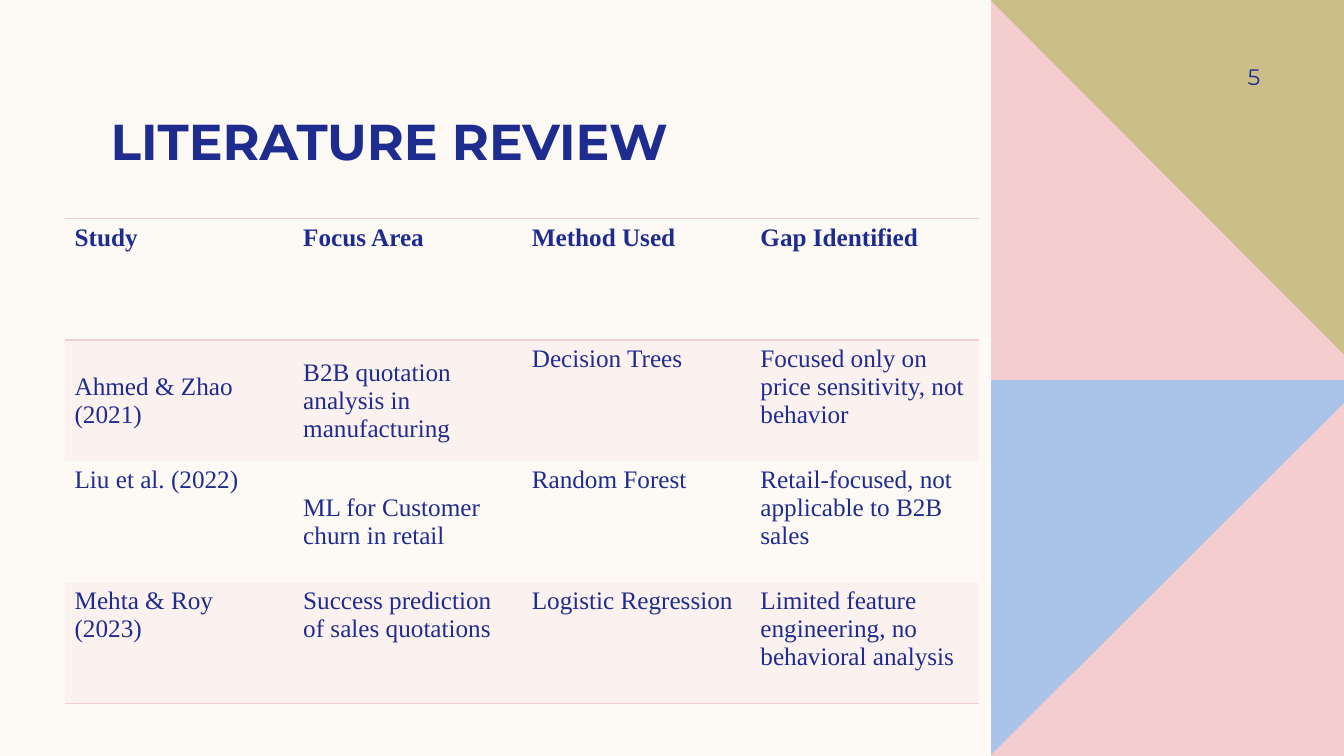
import pptx
import pptx.dml.color
import pptx.enum.text
import pptx.oxml
import pptx.oxml.ns
import pptx.util

Inches = pptx.util.Inches
Pt = pptx.util.Pt
RGBColor = pptx.dml.color.RGBColor
ANCHOR = pptx.enum.text.MSO_ANCHOR
ALIGN = pptx.enum.text.PP_ALIGN
qn = pptx.oxml.ns.qn

CREAM = RGBColor(0xFD, 0xFA, 0xF6)
NAVY = RGBColor(0x1F, 0x2C, 0x8F)
PINK = RGBColor(0xF5, 0xCD, 0xCE)
BLUE = RGBColor(0xAA, 0xC3, 0xE8)
OLIVE = RGBColor(0xCC, 0xBE, 0x89)
NO_STYLE = "{2D5ABB26-0587-4C30-8999-92F81FD0307C}"


def add_text(s, text, box, size, bold, anchor, align, insets):
    tf = s.shapes.add_textbox(*[Inches(v) for v in box]).text_frame
    tf.word_wrap = True
    tf.vertical_anchor = anchor
    tf.margin_left, tf.margin_top, tf.margin_right, tf.margin_bottom = [Inches(v) for v in insets]
    p = tf.paragraphs[0]
    p.text = text
    p.alignment = align
    p.font.name = "Montserrat"
    p.font.size = Pt(size)
    p.font.bold = bold
    p.font.color.rgb = NAVY


def add_border(cell, side):
    return pptx.oxml.parse_xml(
        f'<a:{side} {pptx.oxml.ns.nsdecls("a")} w="{Pt(1)}">'
        f'<a:solidFill><a:srgbClr val="{PINK}"/></a:solidFill></a:{side}>')


prs = pptx.Presentation()
prs.slide_width = Inches(13.33)
prs.slide_height = Inches(7.5)
s = prs.slides.add_slide(prs.slide_layouts[6])
s.background.fill.solid()
s.background.fill.fore_color.rgb = CREAM

LEFT, RIGHT = 9.83, 13.33
panels = [
    (BLUE, [(LEFT, 3.75), (RIGHT, 3.75), (RIGHT, 7.5), (LEFT, 7.5)]),
    (PINK, [(RIGHT, 4), (RIGHT, 7.5), (LEFT, 7.5), (LEFT, 7.49)]),
    (OLIVE, [(LEFT, 0), (RIGHT, 0), (RIGHT, 3.76), (LEFT, 3.76)]),
    (PINK, [(LEFT, 0.01), (RIGHT, 3.52), (RIGHT, 3.77), (LEFT, 3.77)]),
]
for color, points in panels:
    points = [(Inches(x), Inches(y)) for x, y in points]
    builder = s.shapes.build_freeform(*points[0])
    builder.add_line_segments(points[1:], close=True)
    sp = builder.convert_to_shape()
    sp.shadow.inherit = False
    sp.fill.solid()
    sp.fill.fore_color.rgb = color
    sp.line.fill.background()

add_text(s, "LITERATURE REVIEW", (1, 0.91, 8.53, 0.78), 36, True,
         ANCHOR.BOTTOM, ALIGN.LEFT, (0.1, 0, 0.1, 0))
add_text(s, "5", (11.42, 0.5, 1.08, 0.52), 16, False,
         ANCHOR.MIDDLE, ALIGN.RIGHT, (0.1, 0.05, 0, 0.05))

studies = [
    ["Study", "Focus Area", "Method Used", "Gap Identified"],
    ["Ahmed & Zhao (2021)", "B2B quotation analysis in manufacturing",
     "Decision Trees", "Focused only on price sensitivity, not behavior"],
    ["Liu et al. (2022)", "ML for Customer churn in retail",
     "Random Forest", "Retail-focused, not applicable to B2B sales"],
    ["Mehta & Roy (2023)", "Success prediction of sales quotations",
     "Logistic Regression", "Limited feature engineering, no behavioral analysis"],
]
centred_cells = {(1, 0), (1, 1), (2, 1)}
row_borders = {0: ["lnT", "lnB"], 3: ["lnB"]}

frame = s.shapes.add_table(4, 4, Inches(0.64), Inches(2.17), Inches(9.07), Inches(4.81))
table = frame.table
table.first_row = False
table.horz_banding = False
table._tbl.tblPr.find(qn("a:tableStyleId")).text = NO_STYLE

for row, texts in enumerate(studies):
    for col, text in enumerate(texts):
        cell = table.cell(row, col)
        cell.text = text
        cell.vertical_anchor = ANCHOR.MIDDLE if (row, col) in centred_cells else ANCHOR.TOP
        p = cell.text_frame.paragraphs[0]
        p.font.name = "Times New Roman"
        p.font.size = Pt(18)
        p.font.bold = row == 0
        p.font.color.rgb = NAVY
        tcPr = cell._tc.get_or_add_tcPr()
        for side in row_borders.get(row, []):
            tcPr.append(add_border(cell, side))
        if row % 2:
            cell.fill.solid()
            cell.fill.fore_color.rgb = PINK
            clr = tcPr.find(qn("a:solidFill")).find(qn("a:srgbClr"))
            clr.append(pptx.oxml.parse_xml(
                f'<a:alpha {pptx.oxml.ns.nsdecls("a")} val="20000"/>'))
        else:
            cell.fill.background()

prs.save("out.pptx")
